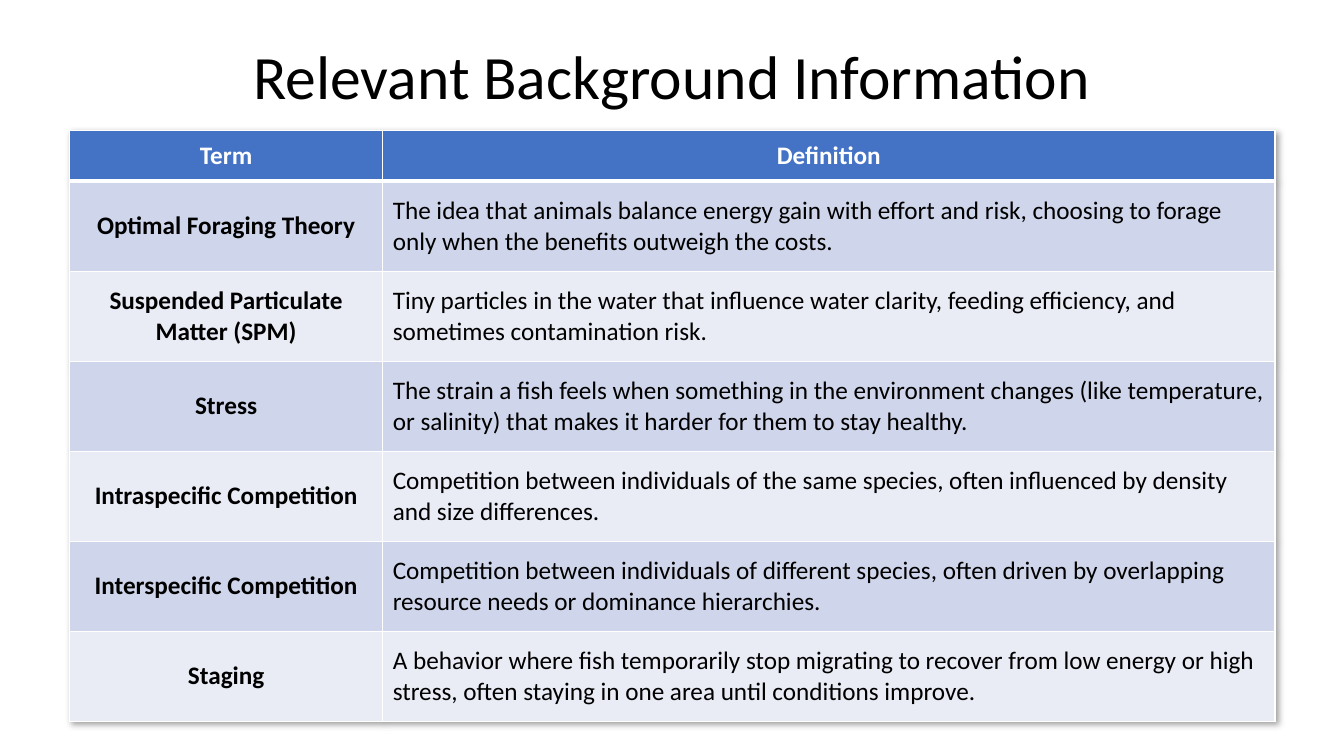
from lxml import etree
from pptx import Presentation
from pptx import util as u
from pptx.dml.color import RGBColor
from pptx.enum import text
from pptx.oxml import parse_xml
from pptx.oxml.ns import nsdecls

Pt = u.Pt
FONT = "Calibri"
COLORS = {
    "ink": "000000",
    "paper": "FFFFFF",
    "header": "4472C4",
    "band_dark": "CFD5EA",
    "band_light": "E9EBF5",
}
TITLE = "Relevant Background Information"
HEADINGS = ("Term", "Definition")
GLOSSARY = [
    ("Optimal Foraging Theory",
     "The idea that animals balance energy gain with effort and risk, "
     "choosing to forage only when the benefits outweigh the costs."),
    ("Suspended Particulate Matter (SPM)",
     "Tiny particles in the water that influence water clarity, "
     "feeding efficiency, and sometimes contamination risk."),
    ("Stress",
     "The strain a fish feels when something in the environment changes "
     "(like temperature, or salinity) that makes it harder for them to stay healthy."),
    ("Intraspecific Competition",
     "Competition between individuals of the same species, "
     "often influenced by density and size differences."),
    ("Interspecific Competition",
     "Competition between individuals of different species, "
     "often driven by overlapping resource needs or dominance hierarchies."),
    ("Staging",
     "A behavior where fish temporarily stop migrating to recover from low energy "
     "or high stress, often staying in one area until conditions improve."),
]
COLUMN_WIDTHS = (223.7, 637.3)
HEADER_HEIGHT, ENTRY_HEIGHT = 36, 64.3


def write(frame, words, size, color, bold=False, centred=True):
    frame.text = words
    paragraph = frame.paragraphs[0]
    paragraph.alignment = text.PP_ALIGN.CENTER if centred else text.PP_ALIGN.LEFT
    font = paragraph.runs[0].font
    font.name, font.size, font.bold = FONT, Pt(size), bold
    font.color.rgb = RGBColor.from_string(COLORS[color])


def add_title(slide):
    frame = slide.shapes.add_textbox(Pt(66), Pt(4.3), Pt(828), Pt(104.4)).text_frame
    frame.word_wrap = True
    frame.vertical_anchor = text.MSO_ANCHOR.MIDDLE
    write(frame, TITLE, 44, "ink")
    frame.paragraphs[0].line_spacing = 0.9


def set_borders(cell, top=1, bottom=1):
    """Draw white lines round a cell, with widths in points."""
    properties = cell._tc.get_or_add_tcPr()
    for side, width in (("L", 1), ("R", 1), ("T", top), ("B", bottom)):
        properties.append(parse_xml(
            f'<a:ln{side} {nsdecls("a")} w="{Pt(width)}"><a:solidFill>'
            f'<a:srgbClr val="{COLORS["paper"]}"/></a:solidFill></a:ln{side}>'))


def add_table_shadow(table):
    effects = parse_xml(
        f'<a:effectLst {nsdecls("a")}>'
        f'<a:outerShdw blurRad="{Pt(4)}" dist="{Pt(3)}" dir="2700000" algn="tl" rotWithShape="0">'
        f'<a:srgbClr val="{COLORS["ink"]}"><a:alpha val="40000"/></a:srgbClr>'
        '</a:outerShdw></a:effectLst>')
    table._tbl.tblPr.insert(0, effects)


def fill_row(table, index, entry):
    is_header = index == 0
    band = "header" if is_header else "band_dark" if index % 2 else "band_light"
    for column, words in enumerate(entry):
        cell = table.cell(index, column)
        set_borders(cell, 3 if index == 1 else 1, 3 if is_header else 1)
        cell.fill.solid()
        cell.fill.fore_color.rgb = RGBColor.from_string(COLORS[band])
        cell.vertical_anchor = text.MSO_ANCHOR.MIDDLE
        emphasised = is_header or column == 0
        write(cell.text_frame, words, 18, "paper" if is_header else "ink",
              bold=emphasised, centred=emphasised)


def add_glossary(slide):
    entries = [HEADINGS] + GLOSSARY
    height = HEADER_HEIGHT + ENTRY_HEIGHT * len(GLOSSARY)
    table = slide.shapes.add_table(
        len(entries), len(HEADINGS), Pt(49.7), Pt(93.4),
        Pt(sum(COLUMN_WIDTHS)), Pt(height)).table
    for column, width in zip(table.columns, COLUMN_WIDTHS):
        column.width = Pt(width)
    for index, entry in enumerate(entries):
        table.rows[index].height = Pt(ENTRY_HEIGHT if index else HEADER_HEIGHT)
        fill_row(table, index, entry)
    add_table_shadow(table)


def main():
    deck = Presentation()
    deck.slide_width, deck.slide_height = Pt(960), Pt(540)
    slide = deck.slides.add_slide(deck.slide_layouts[6])
    add_title(slide)
    add_glossary(slide)
    deck.save("out.pptx")


if __name__ == "__main__":
    main()
